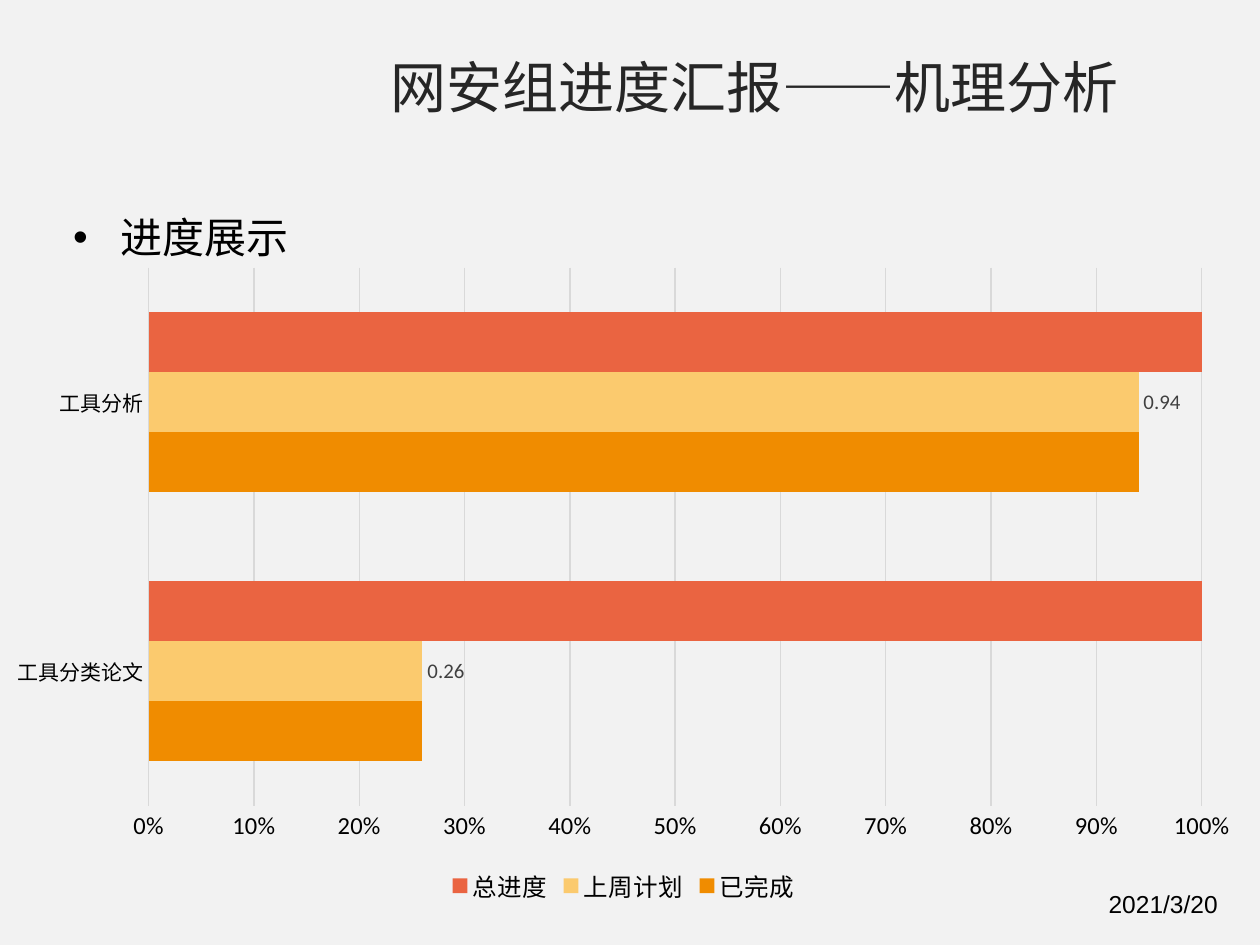
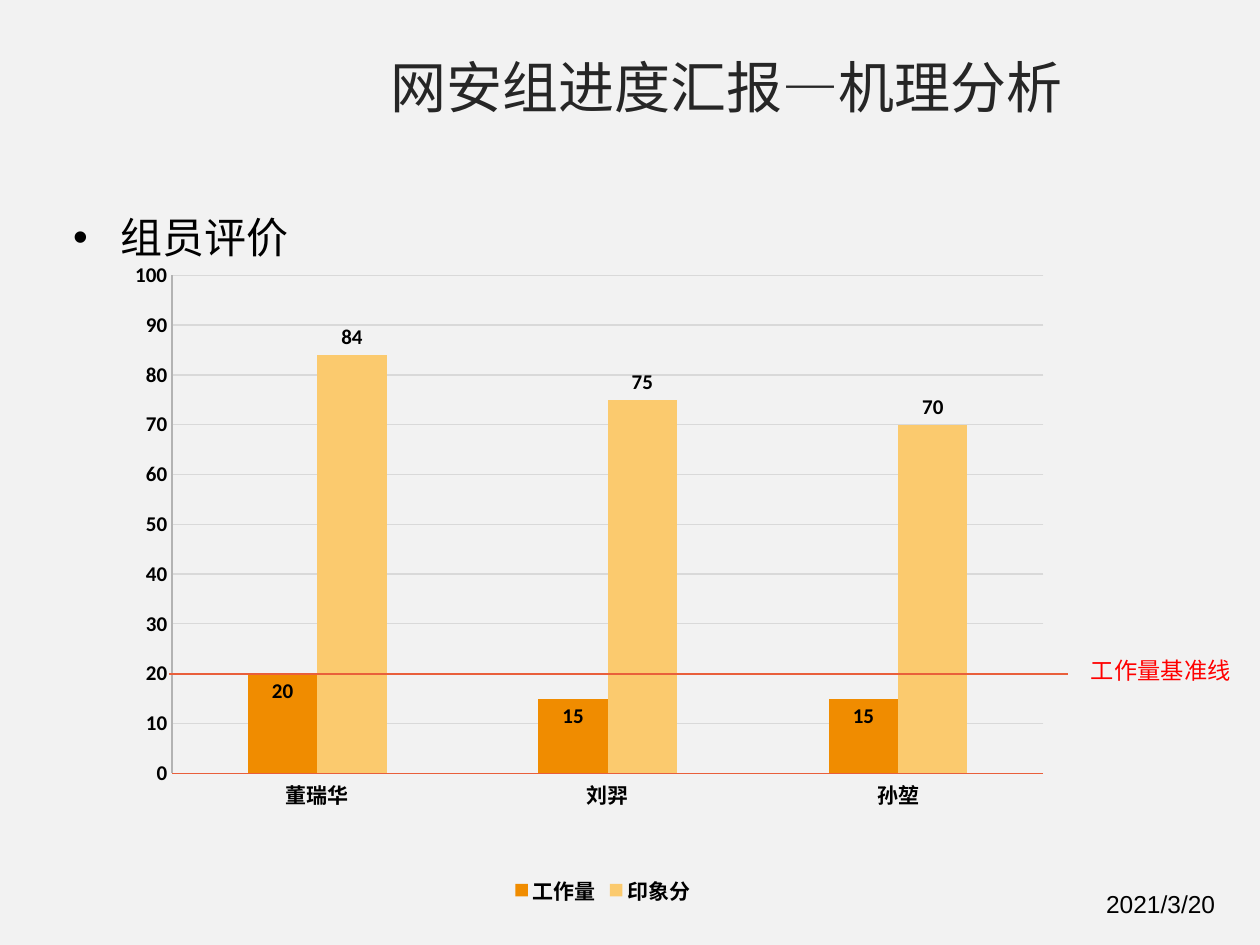
import lxml.etree
import pptx
import pptx.chart.data
import pptx.dml.color
import pptx.enum.chart
import pptx.enum.dml
import pptx.enum.shapes
import pptx.enum.text
import pptx.oxml
import pptx.oxml.ns
import pptx.util

Inches = pptx.util.Inches
Pt = pptx.util.Pt
RGBColor = pptx.dml.color.RGBColor
qn = pptx.oxml.ns.qn
ChartType = pptx.enum.chart.XL_CHART_TYPE
LabelPosition = pptx.enum.chart.XL_LABEL_POSITION

BACKGROUND = RGBColor(0xF2, 0xF2, 0xF2)
TITLE_GREY = RGBColor(0x26, 0x26, 0x26)
LABEL_GREY = RGBColor(0x40, 0x40, 0x40)
AXIS_GREY = RGBColor(0xB3, 0xB3, 0xB3)
GRID_GREY = RGBColor(0xD9, 0xD9, 0xD9)
BLACK = RGBColor(0, 0, 0)
RED = RGBColor(0xFF, 0, 0)
ORANGE = RGBColor(0xF0, 0x8C, 0)
YELLOW = RGBColor(0xFB, 0xCA, 0x6E)
CORAL = RGBColor(0xEA, 0x64, 0x41)
BASELINE = RGBColor(0xE9, 0x5F, 0x3B)
CHINESE_FONT = "Noto Sans CJK SC"


def write_text(box, place, text, size, color, name=CHINESE_FONT, wrap=True):
    box.left, box.top, box.width, box.height = [Inches(value) for value in place]
    frame = box.text_frame
    frame.auto_size = pptx.enum.text.MSO_AUTO_SIZE.NONE
    frame.word_wrap = wrap
    frame.vertical_anchor = pptx.enum.text.MSO_ANCHOR.TOP
    para = frame.paragraphs[0]
    para.alignment = pptx.enum.text.PP_ALIGN.LEFT
    para.space_before = Pt(0)
    span = para.add_run()
    span.text = text
    span.font.name = name
    span.font.size = Pt(size)
    span.font.color.rgb = color
    east_asian = lxml.etree.SubElement(span.font._element, qn("a:ea"))
    east_asian.set("typeface", name)
    return para


def style_font(font, size, color=BLACK, bold=False):
    font.name = "Calibri"
    font.size = Pt(size)
    font.bold = bold
    font.color.rgb = color


slides = [
    {
        "title": "网安组进度汇报——机理分析", "title_width": 6.11,
        "topic": "进度展示", "date_place": (8.7, 7.01, 1.32, 0.34),
        "chart_type": ChartType.BAR_CLUSTERED, "chart_place": (-0.06, 2.02, 10.02, 5.19),
        "categories": ["工具分类论文", "工具分析"],
        "series": [
            ("已完成", (0.26, 0.94), ORANGE, None),
            ("上周计划", (0.26, 0.94), YELLOW, LabelPosition.OUTSIDE_END),
            ("总进度", (1, 1), CORAL, None),
        ],
        "maximum": 1, "format": "0%", "gap": 150, "bold": False,
        "value_size": 14, "label_size": 11.9, "label_color": LABEL_GREY,
        "category_line": GRID_GREY, "value_line": None, "plot": None,
    },
    {
        "title": "网安组进度汇报—机理分析", "title_width": 5.62,
        "topic": "组员评价", "date_place": (8.68, 7.01, 1.35, 0.34),
        "chart_type": ChartType.COLUMN_CLUSTERED, "chart_place": (0.9, 2.03, 7.77, 5.2),
        "categories": ["董瑞华", "刘羿", "孙堃"],
        "series": [
            ("工作量", (20, 15, 15), ORANGE, LabelPosition.INSIDE_END),
            ("印象分", (84, 75, 70), YELLOW, LabelPosition.OUTSIDE_END),
        ],
        "maximum": 100, "format": "General", "gap": 219, "bold": True,
        "value_size": 12, "label_size": 12, "label_color": BLACK,
        "category_line": BASELINE, "value_line": AXIS_GREY,
        "plot": {"x": 0.06, "y": 0.03, "w": 0.89, "h": 0.76},
    },
]

deck = pptx.Presentation()
deck.slide_width = Inches(10)
deck.slide_height = Inches(7.5)
master_fill = deck.slide_master.background.fill
master_fill.solid()
master_fill.fore_color.rgb = BACKGROUND

for content in slides:
    page = deck.slides.add_slide(deck.slide_layouts[1])
    write_text(page.shapes.title, (3, 0.37, content["title_width"], 0.64),
               content["title"], 32, TITLE_GREY, wrap=False)

    topic = write_text(page.placeholders[1], (0.48, 1.63, 2.73, 0.65),
                       content["topic"], 24, BLACK)
    properties = topic._p.get_or_add_pPr()
    properties.set("marL", str(Inches(0.38)))
    properties.set("indent", str(Inches(-0.38)))
    bullet_font = lxml.etree.SubElement(properties, qn("a:buFont"))
    bullet_font.set("typeface", "Arial")
    bullet = lxml.etree.SubElement(properties, qn("a:buChar"))
    bullet.set("char", "•")

    data = pptx.chart.data.CategoryChartData()
    data.categories = content["categories"]
    for name, values, color, position in content["series"]:
        data.add_series(name, values)
    place = [Inches(value) for value in content["chart_place"]]
    chart = page.shapes.add_chart(content["chart_type"], *place, data).chart
    bold = content["bold"]
    style_font(chart.font, 12, bold=bold)
    chart.has_title = False
    chart.has_legend = True
    chart.legend.position = pptx.enum.chart.XL_LEGEND_POSITION.BOTTOM
    chart.legend.include_in_layout = False
    style_font(chart.legend.font, content["value_size"], bold=bold)

    plot = chart.plots[0]
    plot.vary_by_categories = False
    plot.gap_width = content["gap"]
    plot.overlap = 0
    for series, (name, values, color, position) in zip(plot.series, content["series"]):
        series.format.fill.solid()
        series.format.fill.fore_color.rgb = color
        if position is not None:
            labels = series.data_labels
            labels.show_value = True
            labels.position = position
            style_font(labels.font, content["label_size"], content["label_color"], bold)

    axes = [
        (chart.category_axis, 12, content["category_line"]),
        (chart.value_axis, content["value_size"], content["value_line"]),
    ]
    for axis, size, line_color in axes:
        axis.major_tick_mark = pptx.enum.chart.XL_TICK_MARK.NONE
        axis.minor_tick_mark = pptx.enum.chart.XL_TICK_MARK.NONE
        style_font(axis.tick_labels.font, size, bold=bold)
        if line_color is None:
            axis.format.line.fill.background()
        else:
            axis.format.line.color.rgb = line_color
            axis.format.line.width = Pt(0.75)
            axis.format.line.dash_style = pptx.enum.dml.MSO_LINE.SOLID

    value_axis = chart.value_axis
    value_axis.minimum_scale = 0
    value_axis.maximum_scale = content["maximum"]
    value_axis.major_unit = content["maximum"] / 10
    value_axis.tick_labels.number_format = content["format"]
    value_axis.tick_labels.number_format_is_linked = False
    value_axis.has_major_gridlines = True
    value_axis.major_gridlines.format.line.color.rgb = GRID_GREY
    value_axis.major_gridlines.format.line.width = Pt(0.75)

    if content["plot"]:
        plot_area = chart._chartSpace.chart.plotArea
        for old_layout in plot_area.findall(qn("c:layout")):
            plot_area.remove(old_layout)
        layout = lxml.etree.Element(qn("c:layout"))
        plot_area.insert(0, layout)
        manual = lxml.etree.SubElement(layout, qn("c:manualLayout"))
        settings = {"layoutTarget": "inner", "xMode": "edge", "yMode": "edge", **content["plot"]}
        for tag, value in settings.items():
            lxml.etree.SubElement(manual, qn("c:" + tag)).set("val", str(value))

    date_box = page.shapes.add_textbox(0, 0, 0, 0)
    write_text(date_box, content["date_place"], "2021/3/20", 14, BLACK, "Arial")

baseline_top = 5.35
baseline_label = page.shapes.add_textbox(0, 0, 0, 0)
write_text(baseline_label, (8.56, baseline_top - 0.19, 1.58, 0.33), "工作量基准线", 13.3, RED)
baseline = page.shapes.add_connector(
    pptx.enum.shapes.MSO_CONNECTOR.STRAIGHT,
    Inches(1.34), Inches(baseline_top), Inches(8.48), Inches(baseline_top))
baseline.line.color.rgb = BASELINE
baseline.line.width = Pt(1.5)
lxml.etree.SubElement(baseline._element.spPr, qn("a:effectLst"))

deck.save("out.pptx")
